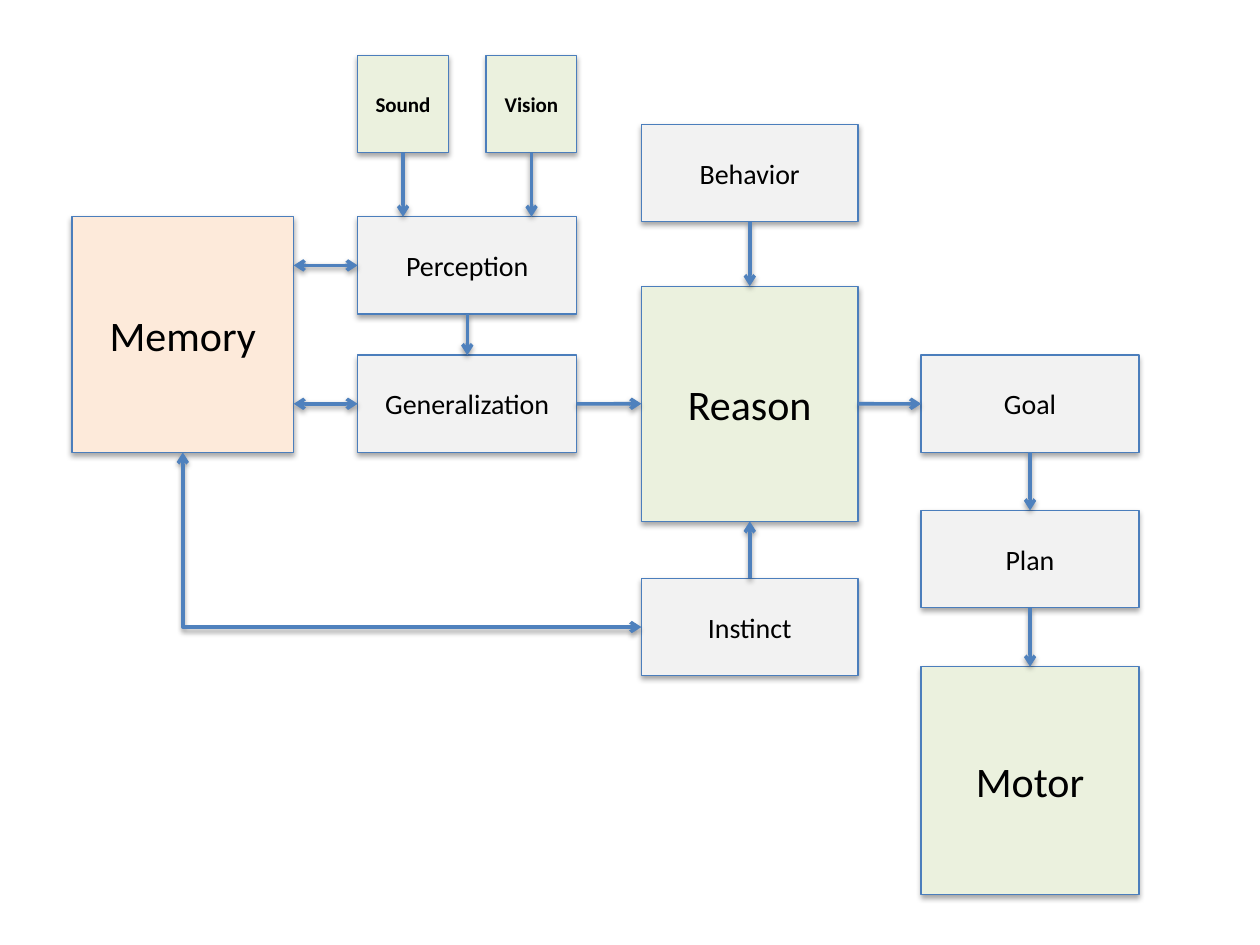
import lxml.etree
import pptx
import pptx.dml.color
import pptx.enum.shapes
import pptx.enum.text
import pptx.oxml.ns
import pptx.util

Cm = pptx.util.Cm
Pt = pptx.util.Pt
qn = pptx.oxml.ns.qn

COLORS = {
    "green": "EBF1DE",
    "peach": "FDEADA",
    "gray": "F2F2F2",
    "outline": "4B7EBC",
    "arrow": "4F81BD",
    "black": "000000",
}
FONT = "Calibri"
TOP, LEFT, BOTTOM, RIGHT = range(4)

MEMORY_X, SENSE_X, VISION_X, REASON_X, ACTION_X = 1.45, 7.21, 9.8, 12.93, 18.57
SENSE_W, REASON_W, ACTION_W = 4.42, 4.37, 4.39
STEP_H = 1.96

BOXES = [
    ("Vision", VISION_X, 1.12, 1.83, STEP_H, "green", 12),
    ("Motor", ACTION_X, 13.44, ACTION_W, 4.6, "green", 24),
    ("Reason", REASON_X, 5.77, REASON_W, 4.74, "green", 24),
    ("Memory", MEMORY_X, 4.37, 4.47, 4.75, "peach", 24),
    ("Sound", SENSE_X, 1.12, 1.83, STEP_H, "green", 12),
    ("Instinct", REASON_X, 11.66, REASON_W, STEP_H, "gray", 16),
    ("Generalization", SENSE_X, 7.16, SENSE_W, STEP_H, "gray", 16),
    ("Perception", SENSE_X, 4.37, SENSE_W, STEP_H, "gray", 16),
    ("Behavior", REASON_X, 2.51, REASON_W, STEP_H, "gray", 16),
    ("Goal", ACTION_X, 7.16, ACTION_W, STEP_H, "gray", 16),
    ("Plan", ACTION_X, 10.29, ACTION_W, STEP_H, "gray", 16),
]

JOINED_ARROWS = [
    ("Behavior", BOTTOM, "Reason", TOP),
    ("Perception", BOTTOM, "Generalization", TOP),
    ("Generalization", RIGHT, "Reason", LEFT),
    ("Reason", RIGHT, "Goal", LEFT),
    ("Goal", BOTTOM, "Plan", TOP),
    ("Plan", BOTTOM, "Motor", TOP),
    ("Instinct", TOP, "Reason", BOTTOM),
]
SENSE_ARROWS = ["Sound", "Vision"]
MEMORY_ARROWS = ["Perception", "Generalization"]


def rgb(name):
    return pptx.dml.color.RGBColor.from_string(COLORS[name])


def add_shadow(effects, distance, opacity):
    shadow = lxml.etree.SubElement(
        effects, qn("a:outerShdw"), blurRad=str(Pt(3.1)), dist=str(Pt(distance)),
        dir="5400000", rotWithShape="0")
    color = lxml.etree.SubElement(shadow, qn("a:srgbClr"), val=COLORS["black"])
    lxml.etree.SubElement(color, qn("a:alpha"), val=str(opacity * 1000))


def add_box(page, text, left, top, width, height, fill, size):
    box = page.shapes.add_shape(
        pptx.enum.shapes.MSO_SHAPE.RECTANGLE, Cm(left), Cm(top), Cm(width), Cm(height))
    box.fill.solid()
    box.fill.fore_color.rgb = rgb(fill)
    box.line.color.rgb = rgb("outline")
    box.line.width = Pt(0.75)
    box.shadow.inherit = False
    add_shadow(box._element.spPr.find(qn("a:effectLst")), 1.8, 35)
    frame = box.text_frame
    frame.vertical_anchor = pptx.enum.text.MSO_ANCHOR.MIDDLE
    para = frame.paragraphs[0]
    para.alignment = pptx.enum.text.PP_ALIGN.CENTER
    span = para.add_run()
    span.text = text
    span.font.name = FONT
    span.font.size = Pt(size)
    span.font.bold = size == 12
    span.font.color.rgb = rgb("black")
    return box


def side_point(box, side):
    x = {LEFT: box.left, RIGHT: box.left + box.width}.get(side, box.left + box.width // 2)
    y = {TOP: box.top, BOTTOM: box.top + box.height}.get(side, box.top + box.height // 2)
    return x, y


def add_arrow(page, start, end, both_ways=False, kind="STRAIGHT"):
    arrow = page.shapes.add_connector(
        pptx.enum.shapes.MSO_CONNECTOR[kind], *start, *end)
    arrow.line.color.rgb = rgb("arrow")
    arrow.line.width = Pt(2)
    line = arrow.line._get_or_add_ln()
    for tag in ["a:headEnd", "a:tailEnd"] if both_ways else ["a:tailEnd"]:
        lxml.etree.SubElement(line, qn(tag), type="arrow")
    effects = lxml.etree.SubElement(arrow._element.spPr, qn("a:effectLst"))
    add_shadow(effects, 1.6, 38)
    return arrow


def add_joined_arrow(page, source, source_side, target, target_side, **options):
    arrow = add_arrow(page, side_point(source, source_side),
                      side_point(target, target_side), **options)
    arrow.begin_connect(source, source_side)
    arrow.end_connect(target, target_side)
    return arrow


def add_sense_arrow(page, sense, perception):
    x, y = side_point(sense, BOTTOM)
    add_arrow(page, (x, y), (x, perception.top)).begin_connect(sense, BOTTOM)


def add_memory_arrow(page, step, memory):
    x, y = side_point(step, LEFT)
    end = (memory.left + memory.width, y)
    add_arrow(page, (x, y), end, both_ways=True).begin_connect(step, LEFT)


def add_corner_arrow(page, source, target):
    arrow = add_joined_arrow(page, source, LEFT, target, BOTTOM,
                             both_ways=True, kind="ELBOW")
    properties = arrow._element.spPr
    properties.find(qn("a:prstGeom")).set("prst", "bentConnector2")
    transform = properties.find(qn("a:xfrm"))
    for flip in ("flipH", "flipV"):
        transform.attrib.pop(flip, None)
    transform.set("rot", "10800000")


def main():
    deck = pptx.Presentation()
    deck.slide_width = Cm(25.4)
    deck.slide_height = Cm(19.05)
    page = deck.slides.add_slide(deck.slide_layouts[6])
    boxes = {entry[0]: add_box(page, *entry) for entry in BOXES}
    for source, source_side, target, target_side in JOINED_ARROWS:
        add_joined_arrow(page, boxes[source], source_side, boxes[target], target_side)
    for sense in SENSE_ARROWS:
        add_sense_arrow(page, boxes[sense], boxes["Perception"])
    for step in MEMORY_ARROWS:
        add_memory_arrow(page, boxes[step], boxes["Memory"])
    add_corner_arrow(page, boxes["Instinct"], boxes["Memory"])
    deck.save("out.pptx")


if __name__ == "__main__":
    main()
